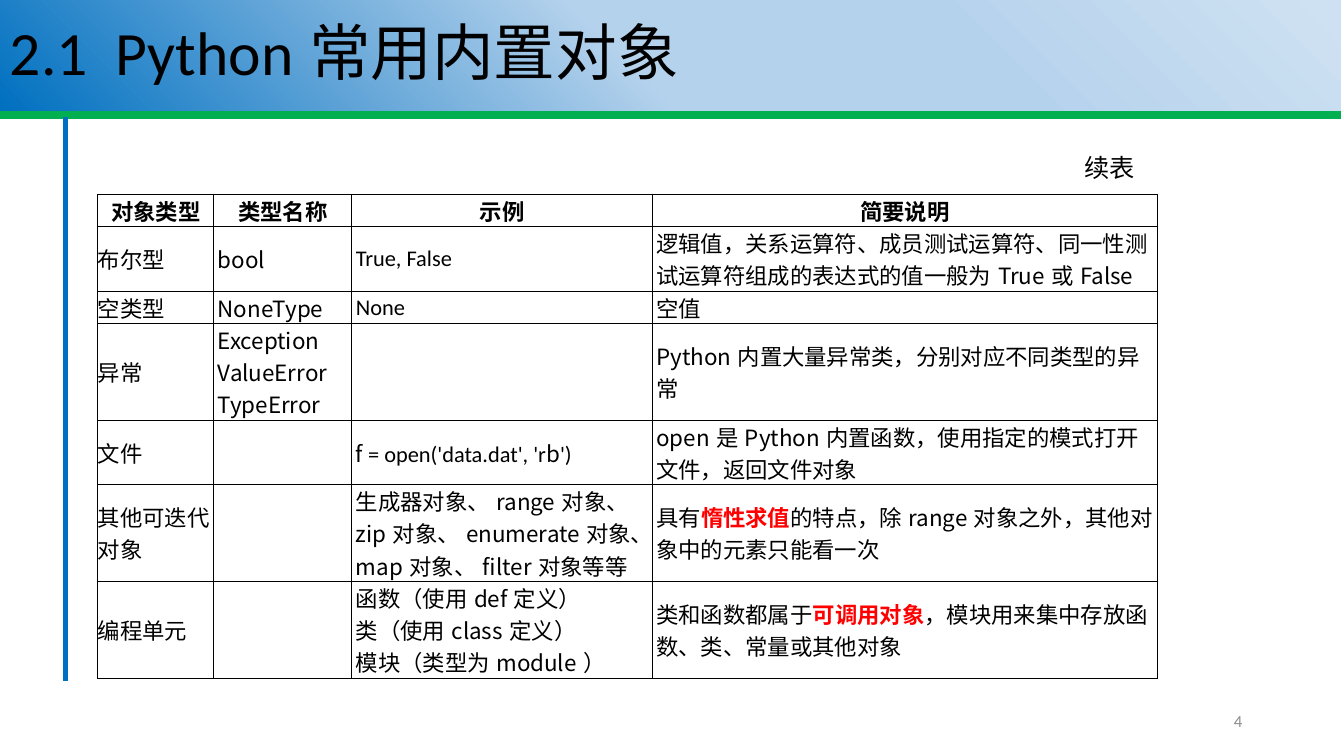
from dataclasses import dataclass

from lxml import etree
from pptx import Presentation
from pptx.dml.color import RGBColor
from pptx.enum import shapes, text
from pptx.oxml.ns import qn
from pptx.util import Emu, Pt

PX = 9144  # 100 px to the inch


@dataclass(frozen=True)
class Theme:
    latin: str = "Calibri"
    cjk: str = "Noto Sans CJK SC"
    label: str = "Arial"
    ink: str = "000000"
    accent: str = "FF0000"
    muted: str = "8C8C8C"
    green: str = "00B050"
    blue: str = "0070C0"
    banner: tuple = ((1, "CEE1F2"), (29, "B5D2EC"), (53, "B5D2EC"), (100, "0070C0"))
    title_size: int = 44
    label_size: int = 18
    table_size: int = 16
    number_size: int = 12


THEME = Theme()


@dataclass(frozen=True)
class Key:
    """Words stressed in bold accent colour."""
    words: str


@dataclass(frozen=True)
class Code:
    """Words set in the Latin font."""
    words: str


COLUMNS = (115, 137, 298, 501)
ROWS = (32, 64, 32, 96, 64, 96, 96)
HEADER = ("对象类型", "类型名称", "示例", "简要说明")
# A cell is a list of paragraphs; a paragraph is a list of runs.
BODY = (
    ([["布尔型"]], [["bool"]], [[Code("True, False")]],
     [["逻辑值，关系运算符、成员测试运算符、同一性测试运算符组成的表达式的值一般为True或False"]]),
    ([["空类型"]], [["NoneType"]], [[Code("None")]], [["空值"]]),
    ([["异常"]], [["Exception"], ["ValueError"], ["TypeError"]], [],
     [["Python内置大量异常类，分别对应不同类型的异常"]]),
    ([["文件"]], [], [["f ", Code("= open('data.dat', 'r"), "b", Code("')")]],
     [["open是Python内置函数，使用指定的模式打开文件，返回文件对象"]]),
    ([["其他可迭代对象"]], [],
     [["生成器对象、range对象、zip对象、enumerate对象、map对象、filter对象等等"]],
     [["具有", Key("惰性求值"), "的特点，除range对象之外，其他对象中的元素只能看一次"]]),
    ([["编程单元"]], [],
     [["函数（使用def定义）"], ["类（使用class定义）"], ["模块（类型为module）"]],
     [["类和函数都属于", Key("可调用对象"), "，模块用来集中存放函数、类、常量或其他对象"]]),
)


def px(*lengths):
    return [Emu(length * PX) for length in lengths]


def rgb(color):
    return RGBColor.from_string(color)


def style_font(font, name, size, color=THEME.ink, bold=False):
    font.name, font.size, font.bold = name, Pt(size), bold
    font.color.rgb = rgb(color)


def add_rule(slide, start, end, color, width):
    line = slide.shapes.add_connector(
        shapes.MSO_CONNECTOR.STRAIGHT, *px(*start), *px(*end))
    line.line.color.rgb = rgb(color)
    line.line.width = Pt(width)
    etree.SubElement(line._element.spPr, qn("a:effectLst"))


def fill_gradient(fill, stops, angle):
    """Fill with (percent, colour) stops; the angle runs counter-clockwise."""
    fill.gradient()
    fill.gradient_angle = angle
    stop_list = fill._xPr.find(qn("a:gradFill")).find(qn("a:gsLst"))
    for stop in list(stop_list):
        stop_list.remove(stop)
    for percent, color in stops:
        stop = etree.SubElement(stop_list, qn("a:gs"), pos=str(percent * 1000))
        etree.SubElement(stop, qn("a:srgbClr"), val=color)


def add_banner(slide, words):
    banner = slide.shapes.add_shape(
        shapes.MSO_SHAPE.RECTANGLE, *px(0, 0, 1330, 110))
    banner.shadow.inherit = False
    banner.line.fill.background()
    fill_gradient(banner.fill, THEME.banner, 225)
    banner.text_frame.vertical_anchor = text.MSO_ANCHOR.MIDDLE
    paragraph = banner.text_frame.paragraphs[0]
    paragraph.text = words
    paragraph.alignment = text.PP_ALIGN.LEFT
    paragraph.line_spacing = 0.9
    style_font(paragraph.font, THEME.latin, THEME.title_size)


def add_right_label(slide, words, box, name, size, color, anchor):
    label = slide.shapes.add_textbox(*px(*box))
    label.text_frame.word_wrap = True
    label.text_frame.vertical_anchor = anchor
    paragraph = label.text_frame.paragraphs[0]
    paragraph.text = words
    paragraph.alignment = text.PP_ALIGN.RIGHT
    style_font(paragraph.font, name, size, color)


def add_borders(cell):
    properties = cell._tc.get_or_add_tcPr()
    for index, side in enumerate(("lnL", "lnR", "lnT", "lnB")):
        border = etree.Element(qn(f"a:{side}"), w=str(Pt(1)))
        solid = etree.SubElement(border, qn("a:solidFill"))
        etree.SubElement(solid, qn("a:srgbClr"), val=THEME.ink)
        properties.insert(index, border)


def write_run(paragraph, part):
    run = paragraph.add_run()
    run.text = part if isinstance(part, str) else part.words
    if isinstance(part, Code):
        run.font.name = THEME.latin
    elif isinstance(part, Key):
        run.font.bold = True
        run.font.color.rgb = rgb(THEME.accent)


def write_cell(cell, paragraphs, inset=0, header=False):
    cell.fill.background()
    add_borders(cell)
    cell.vertical_anchor = text.MSO_ANCHOR.MIDDLE
    cell.margin_left, cell.margin_top, cell.margin_right, cell.margin_bottom = px(
        inset, 0, 0, 0)
    for index, parts in enumerate(paragraphs or [[]]):
        frame = cell.text_frame
        paragraph = frame.add_paragraph() if index else frame.paragraphs[0]
        paragraph.alignment = (
            text.PP_ALIGN.CENTER if header else text.PP_ALIGN.LEFT)
        style_font(paragraph.font, THEME.cjk, THEME.table_size, bold=header)
        for part in parts:
            write_run(paragraph, part)


def add_object_table(slide):
    frame = slide.shapes.add_table(
        len(ROWS), len(COLUMNS), *px(97, 193, sum(COLUMNS), sum(ROWS)))
    table = frame.table
    table.first_row = table.horz_banding = False
    for column, width in zip(table.columns, px(*COLUMNS)):
        column.width = width
    for row, height in zip(table.rows, px(*ROWS)):
        row.height = height
    for column, words in enumerate(HEADER):
        write_cell(table.cell(0, column), [[words]], header=True)
    for row, cells in enumerate(BODY, start=1):
        for column, paragraphs in enumerate(cells):
            write_cell(table.cell(row, column), paragraphs, 4 if column else 0)


def main():
    presentation = Presentation()
    presentation.slide_width, presentation.slide_height = px(1333, 750)
    slide = presentation.slides.add_slide(presentation.slide_layouts[6])
    add_rule(slide, (0, 114), (1330, 114), THEME.green, 5.25)
    add_rule(slide, (65, 116), (65, 676), THEME.blue, 3.75)
    add_banner(slide, "2.1  Python常用内置对象")
    add_right_label(slide, "4", (942, 695, 300, 40), THEME.latin,
                    THEME.number_size, THEME.muted, text.MSO_ANCHOR.MIDDLE)
    add_object_table(slide)
    add_right_label(slide, "续表", (906, 146, 229, 40), THEME.label,
                    THEME.label_size, THEME.ink, text.MSO_ANCHOR.TOP)
    presentation.save("out.pptx")


if __name__ == "__main__":
    main()
